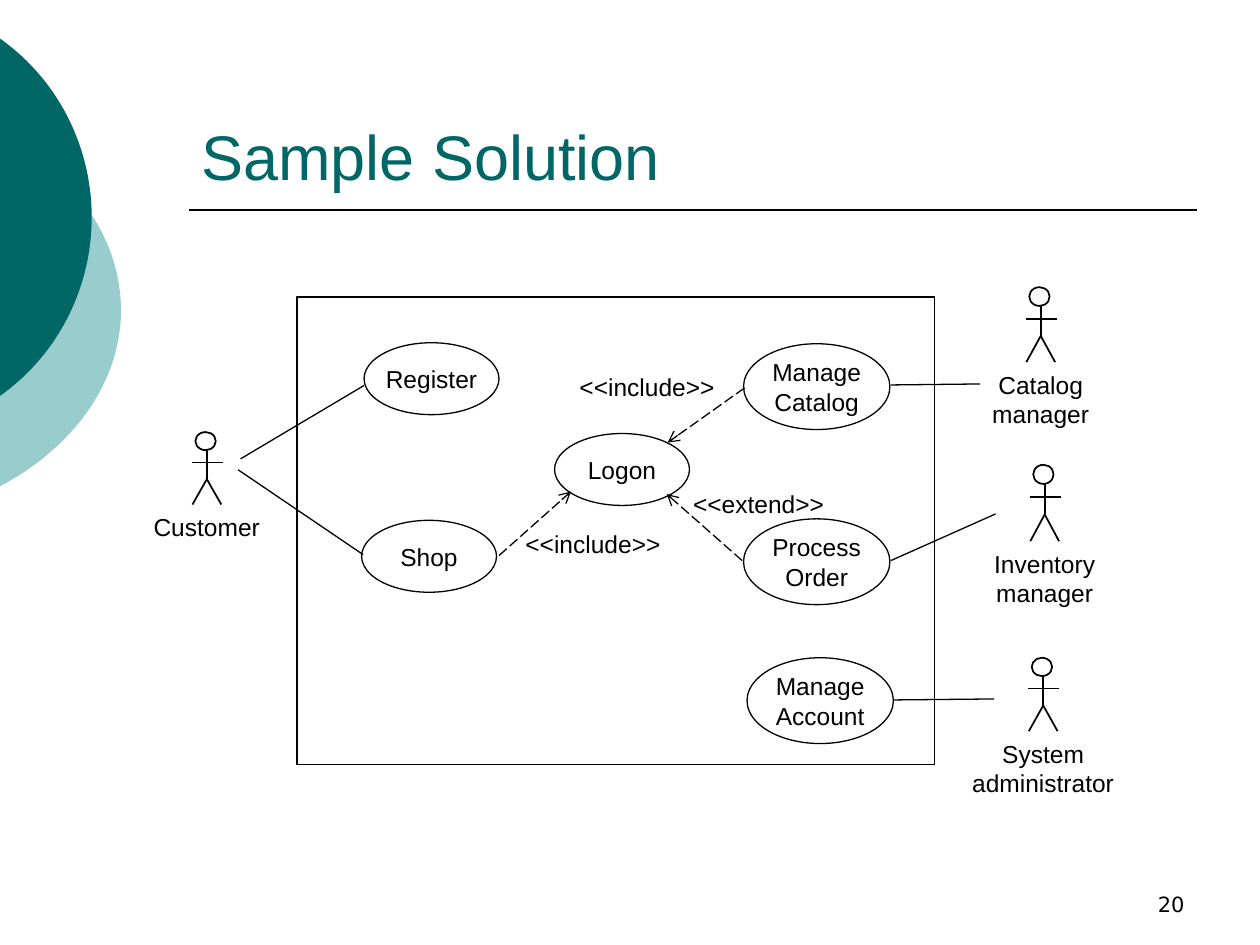
"""Build a use case diagram slide with actors, use cases and their relations."""
import math

import pptx
import pptx.dml.color
import pptx.enum.dml
import pptx.enum.shapes
import pptx.enum.text
import pptx.oxml
import pptx.util
from lxml import etree

Cm = pptx.util.Cm
ALIGN = pptx.enum.text.PP_ALIGN
ANCHOR = pptx.enum.text.MSO_ANCHOR
SHAPE = pptx.enum.shapes.MSO_SHAPE
NAMESPACE = "http://schemas.openxmlformats.org/drawingml/2006/main"
BLACK, TEAL, PALE_TEAL = "000000", "006666", "99CCCC"

EDGE_DISCS = [
    (-3.28, 6.25, 5.72, 4.34, PALE_TEAL),
    (-2.44, 4.38, 4.29, 4.38, TEAL),
]
SYSTEM_FRAME = (5.99, 5.99, 12.85, 9.42)
SMALL, LARGE = (2.72, 1.45), (2.95, 1.73)
USE_CASES = [
    ("Register", 7.34, 6.91, SMALL),
    ("Shop", 7.29, 10.49, SMALL),
    ("Logon", 11.18, 8.74, SMALL),
    ("Manage\nCatalog", 14.99, 6.93, LARGE),
    ("Process\nOrder", 14.99, 10.46, LARGE),
    ("Manage\nAccount", 15.06, 13.26, LARGE),
]
ACTORS = [
    ("Customer", 4.17, 8.71, 1.46, 2.64, 0.86),
    ("Catalog\nmanager", 20.98, 5.79, 1.51, 2.46, 1.45),
    ("Inventory\nmanager", 21.06, 9.37, 1.54, 2.54, 1.45),
    ("System\nadministrator", 21.03, 13.26, 1.48, 3.35, 1.45),
]
ASSOCIATIONS = [
    (4.85, 9.25, 7.34, 7.77),
    (4.8, 9.47, 7.32, 11.18),
    (17.96, 7.76, 19.76, 7.74),
    (17.96, 11.3, 20.07, 10.36),
    (18.01, 14.11, 20.04, 14.09),
]
DEPENDENCIES = [
    ("<<include>>", 11.43, 7.37, 3.23, (15.01, 7.82, 13.46, 8.92)),
    ("<<include>>", 10.34, 10.54, 3.23, (10.06, 11.2, 11.51, 9.91)),
    ("<<extend>>", 13.72, 9.73, 3.15, (14.96, 11.3, 13.44, 9.96)),
]


def color(hex_text):
    return pptx.dml.color.RGBColor.from_string(hex_text)


def write(shape, text, size=14, font="Arial", ink=BLACK, align=ALIGN.CENTER,
          anchor=ANCHOR.TOP, wrap=False, inset=(0.25, 0.13)):
    frame = shape.text_frame
    frame.word_wrap = wrap
    frame.auto_size = pptx.enum.text.MSO_AUTO_SIZE.NONE
    frame.vertical_anchor = anchor
    frame.margin_left = frame.margin_right = Cm(inset[0])
    frame.margin_top = frame.margin_bottom = Cm(inset[1])
    for index, line in enumerate(text.split("\n")):
        para = frame.add_paragraph() if index else frame.paragraphs[0]
        para.alignment = align
        span = para.add_run()
        span.text = line
        span.font.name = font
        span.font.size = pptx.util.Pt(size)
        span.font.color.rgb = color(ink)


def add_text(page, text, left, top, width, height, **style):
    box = page.shapes.add_textbox(Cm(left), Cm(top), Cm(width), Cm(height))
    write(box, text, **style)


def add_outline(page, kind, left, top, width, height, weight=0.75):
    shape = page.shapes.add_shape(kind, Cm(left), Cm(top), Cm(width), Cm(height))
    shape.shadow.inherit = False
    shape.fill.background()
    shape.line.color.rgb = color(BLACK)
    shape.line.width = pptx.util.Pt(weight)
    return shape


def add_line(page, ends, weight=0.75, arrow=False):
    connector = page.shapes.add_connector(
        pptx.enum.shapes.MSO_CONNECTOR.STRAIGHT, *[Cm(value) for value in ends])
    connector.line.color.rgb = color(BLACK)
    connector.line.width = pptx.util.Pt(weight)
    if arrow:
        connector.line.dash_style = pptx.enum.dml.MSO_LINE.LONG_DASH
        outline = connector.line._get_or_add_ln()
        etree.SubElement(outline, f"{{{NAMESPACE}}}tailEnd", type="arrow")
    etree.SubElement(connector._element.spPr, f"{{{NAMESPACE}}}effectLst")


def add_edge_disc(page, center_x, center_y, radius_x, radius_y, fill, steps=60):
    limit = math.acos(-center_x / radius_x)
    angles = [limit * (2 * step / steps - 1) for step in range(steps + 1)]
    points = [(Cm(center_x + radius_x * math.cos(angle)),
               Cm(center_y + radius_y * math.sin(angle))) for angle in angles]
    builder = page.shapes.build_freeform(*points[0])
    builder.add_line_segments(points[1:], close=True)
    disc = builder.convert_to_shape()
    disc.shadow.inherit = False
    disc.fill.solid()
    disc.fill.fore_color.rgb = color(fill)
    disc.line.fill.background()


def add_actor(page, name, center, top, height, label_width, label_height):
    neck, arms, hip, foot = [top + height * part for part in (0.25, 0.42, 0.65, 1)]
    add_outline(page, SHAPE.OVAL, center - 0.23, top, 0.41, neck - top, weight=1)
    for ends in [
        (center, neck, center, hip),
        (center - 0.3, arms, center + 0.32, arms),
        (center, hip, center - 0.29, foot),
        (center, hip, center + 0.29, foot),
    ]:
        add_line(page, ends, weight=1)
    add_text(page, name, center - label_width / 2, foot + 0.02, label_width, label_height)


def main():
    deck = pptx.Presentation()
    deck.slide_width, deck.slide_height = Cm(25.4), Cm(19.05)
    page = deck.slides.add_slide(deck.slide_layouts[5])
    for disc in EDGE_DISCS:
        add_edge_disc(page, *disc)
    add_line(page, (3.81, 4.24, 24.13, 4.24), weight=1)

    title = page.shapes.title
    title.left, title.top, title.width, title.height = Cm(3.81), Cm(0.84), Cm(20.32), Cm(3.18)
    write(title, "Sample Solution", size=36, ink=TEAL, align=ALIGN.LEFT,
          anchor=ANCHOR.BOTTOM, wrap=True)
    add_text(page, "20", 18.21, 17.35, 5.92, 1.27, size=12, font="DejaVu Sans",
             align=ALIGN.RIGHT, anchor=ANCHOR.BOTTOM, wrap=True)

    add_outline(page, SHAPE.RECTANGLE, *SYSTEM_FRAME)
    for name, left, top, size in USE_CASES:
        oval = add_outline(page, SHAPE.OVAL, left, top, *size)
        write(oval, name, anchor=ANCHOR.MIDDLE, inset=(0, 0))
    for actor in ACTORS:
        add_actor(page, *actor)
    for ends in ASSOCIATIONS:
        add_line(page, ends)
    for name, left, top, width, ends in DEPENDENCIES:
        add_line(page, ends, arrow=True)
        add_text(page, name, left, top, width, 0.86)
    deck.save("out.pptx")


if __name__ == "__main__":
    main()
